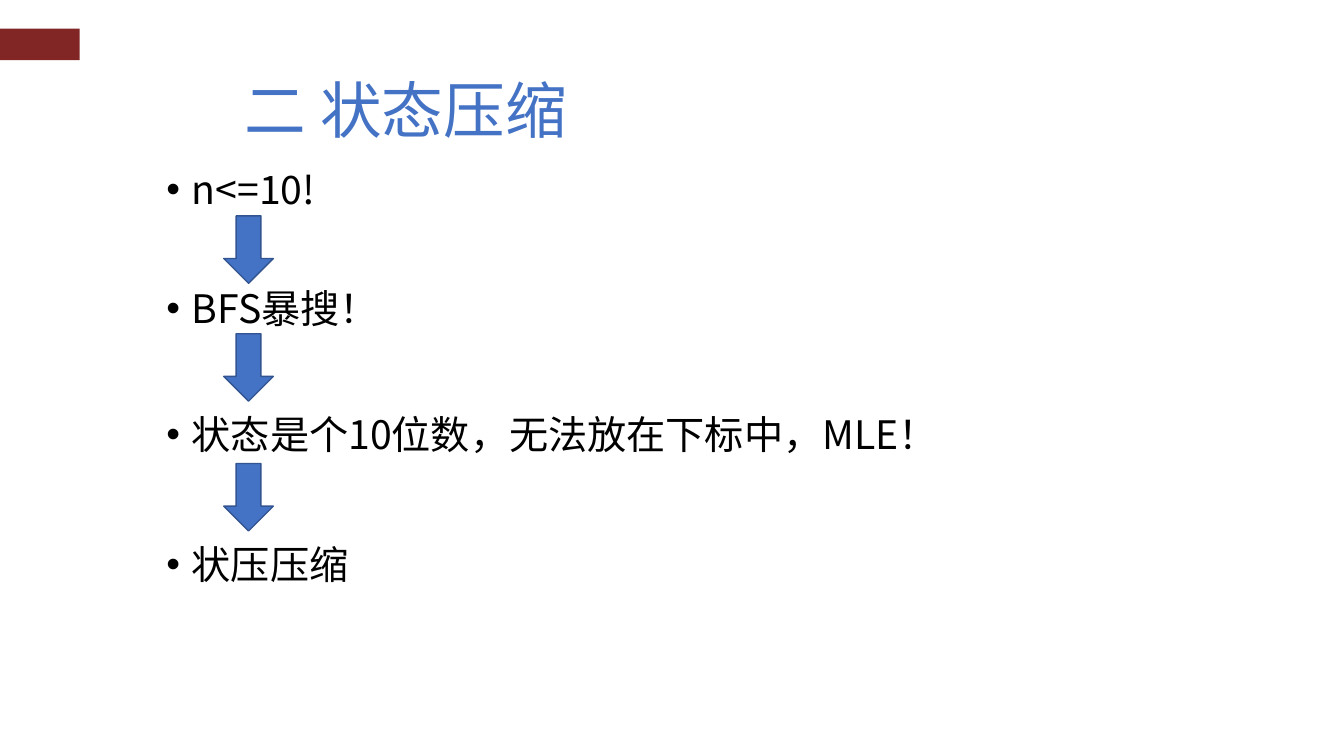
from lxml import etree
from pptx import Presentation
from pptx.dml.color import RGBColor
from pptx.enum import shapes, text
from pptx.oxml.ns import qn
from pptx.util import Cm, Pt

FONT = "Noto Sans CJK SC"
COLORS = {
    "bar": "812625",
    "blue": "4472C4",
    "arrow_line": "325491",
    "text": "000000",
}
COMPARISON_LAYOUT = 4  # one title and four text placeholders

# Each step: text, top, width and height in cm
STEPS = [
    ("n<=10!", 4.17, 24.92, 1.7),
    ("BFS暴搜！", 7.16, 10.69, 1.55),
    ("状态是个10位数，无法放在下标中，MLE！", 10.34, 24.92, 1.96),
    ("状压压缩", 13.61, 24.92, 1.96),
]
STEP_LEFT = 3.94
ARROW_TOPS = [5.44, 8.41, 11.68]


def color(name):
    return RGBColor.from_string(COLORS[name])


def place(shape, left, top, width, height):
    shape.left, shape.top = Cm(left), Cm(top)
    shape.width, shape.height = Cm(width), Cm(height)


def format_runs(paragraph, size, color_name):
    for run in paragraph.runs:
        run.font.size = Pt(size)
        run.font.bold = False
        run.font.name = FONT
        run.font.color.rgb = color(color_name)
        east_asian = etree.SubElement(run._r.get_or_add_rPr(), qn("a:ea"))
        east_asian.set("typeface", FONT)


def fill_placeholder(placeholder, wording, box, size, color_name):
    place(placeholder, *box)
    frame = placeholder.text_frame
    frame.text = wording
    frame.word_wrap = True
    frame.auto_size = text.MSO_AUTO_SIZE.NONE
    frame.vertical_anchor = text.MSO_ANCHOR.TOP
    paragraph = frame.paragraphs[0]
    paragraph.alignment = text.PP_ALIGN.LEFT
    paragraph.space_before = Pt(0)
    format_runs(paragraph, size, color_name)
    return paragraph


def add_title(slide, box):
    fill_placeholder(slide.shapes.title, "二 状态压缩", box, 44, "blue")
    slide.shapes.title.text_frame.auto_size = text.MSO_AUTO_SIZE.SHAPE_TO_FIT_TEXT


def add_step(placeholder, wording, box):
    paragraph = fill_placeholder(placeholder, wording, box, 28, "text")
    paragraph.line_spacing = 0.9
    # Hanging bullet
    properties = paragraph._p.get_or_add_pPr()
    properties.set("marL", str(Cm(0.64)))
    properties.set("indent", str(-Cm(0.64)))
    bullet_font = etree.SubElement(properties, qn("a:buFont"))
    bullet_font.set("typeface", "Arial")
    etree.SubElement(properties, qn("a:buChar")).set("char", "•")


def add_block(slide, preset, box, fill, line=None):
    shape = slide.shapes.add_shape(preset, *(Cm(length) for length in box))
    shape.shadow.inherit = False
    shape.fill.solid()
    shape.fill.fore_color.rgb = color(fill)
    if line:
        shape.line.color.rgb = color(line)
        shape.line.width = Pt(1)
    else:
        shape.line.fill.background()


def add_flow(slide, left):
    placeholders = [p for p in slide.placeholders if p.placeholder_format.idx > 0]
    for placeholder, (wording, top, width, height) in zip(placeholders, STEPS):
        add_step(placeholder, wording, (left, top, width, height))
    # Arrows between the steps
    for top in ARROW_TOPS:
        add_block(slide, shapes.MSO_SHAPE.DOWN_ARROW,
                  (left + 1.7, top, 1.25, 1.7), "blue", "arrow_line")


def main():
    presentation = Presentation()
    presentation.slide_width = Cm(33.87)
    presentation.slide_height = Cm(19.05)
    slide = presentation.slides.add_slide(
        presentation.slide_layouts[COMPARISON_LAYOUT])
    # Corner bar, title and flow of steps
    add_block(slide, shapes.MSO_SHAPE.RECTANGLE, (0, 0.72, 2.01, 0.8), "bar")
    add_title(slide, (5.92, 1.68, 18.64, 2.13))
    add_flow(slide, STEP_LEFT)
    presentation.save("out.pptx")


if __name__ == "__main__":
    main()
